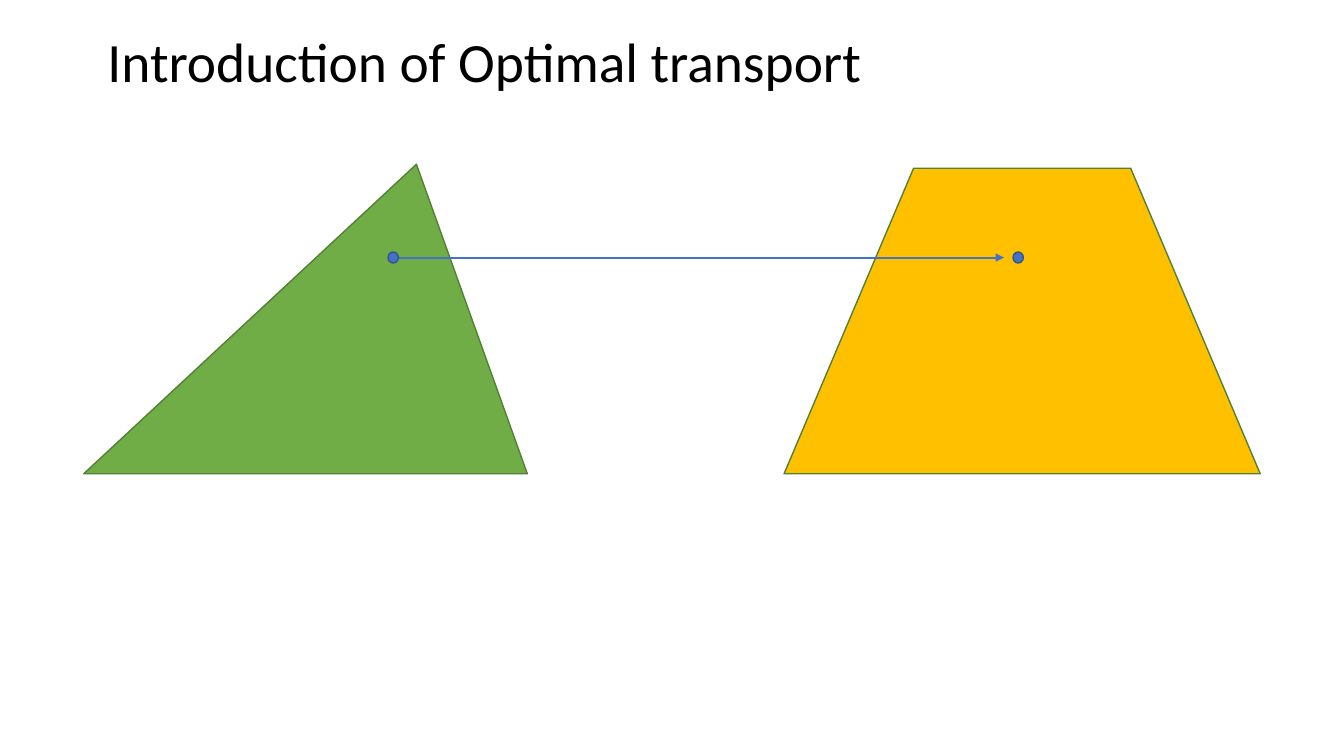
import pptx
import pptx.dml.color
import pptx.enum.shapes
import pptx.enum.text
import pptx.oxml
import pptx.oxml.ns
import pptx.util
from pptx.util import Cm

RGBColor = pptx.dml.color.RGBColor
Shape = pptx.enum.shapes.MSO_SHAPE

BLACK = RGBColor(0x00, 0x00, 0x00)
GREEN = RGBColor(0x70, 0xAD, 0x47)
DARK_GREEN = RGBColor(0x53, 0x80, 0x35)
GOLD = RGBColor(0xFF, 0xC0, 0x00)
BLUE = RGBColor(0x44, 0x72, 0xC4)
DARK_BLUE = RGBColor(0x32, 0x54, 0x91)

BASE_Y = 11.94
POINT_Y = 6.49


def add_title(slide, text):
    box = slide.shapes.add_textbox(Cm(2.46), Cm(1.02), Cm(29.06), Cm(1.19))
    frame = box.text_frame
    frame.word_wrap = True
    frame.vertical_anchor = pptx.enum.text.MSO_ANCHOR.MIDDLE
    frame.text = text
    paragraph = frame.paragraphs[0]
    paragraph.line_spacing = 0.9
    font = paragraph.runs[0].font
    font.name = "Calibri"
    font.size = pptx.util.Pt(39.6)
    font.color.rgb = BLACK


def add_figure(slide, kind, left, top, width, height, fill, outline):
    shape = slide.shapes.add_shape(kind, Cm(left), Cm(top), Cm(width), Cm(height))
    shape.shadow.inherit = False
    shape.fill.solid()
    shape.fill.fore_color.rgb = fill
    shape.line.color.rgb = outline
    shape.line.width = pptx.util.Pt(1)
    return shape


def add_region(slide, kind, left, top, width, adjustment, fill):
    """Add a filled region standing on the common base line."""
    shape = add_figure(slide, kind, left, top, width, BASE_Y - top, fill, DARK_GREEN)
    shape.adjustments[0] = adjustment


def add_point(slide, center_x):
    width, height = 0.26, 0.28
    add_figure(slide, Shape.OVAL, center_x - width / 2, POINT_Y - height / 2,
               width, height, BLUE, DARK_BLUE)


def add_transport_arrow(slide, start_x, end_x):
    arrow = slide.shapes.add_connector(
        pptx.enum.shapes.MSO_CONNECTOR.STRAIGHT,
        Cm(start_x), Cm(POINT_Y), Cm(end_x), Cm(POINT_Y))
    arrow.line.color.rgb = BLUE
    arrow.line.width = pptx.util.Pt(1.5)
    head = pptx.oxml.parse_xml(
        f'<a:tailEnd {pptx.oxml.ns.nsdecls("a")} type="triangle"/>')
    arrow.line._get_or_add_ln().append(head)
    arrow._element.spPr.append(
        pptx.oxml.parse_xml(f'<a:effectLst {pptx.oxml.ns.nsdecls("a")}/>'))


def main():
    presentation = pptx.Presentation()
    presentation.slide_width = Cm(33.87)
    presentation.slide_height = Cm(19.05)
    slide = presentation.slides.add_slide(presentation.slide_layouts[6])

    add_title(slide, "Introduction of Optimal transport")
    add_region(slide, Shape.ISOSCELES_TRIANGLE, 2.11, 4.14, 11.18, 0.75, GREEN)
    add_region(slide, Shape.TRAPEZOID, 19.76, 4.24, 12, 0.424, GOLD)
    add_transport_arrow(slide, 9.91, 25.3)
    for center_x in (9.91, 25.66):
        add_point(slide, center_x)

    presentation.save("out.pptx")


if __name__ == "__main__":
    main()
